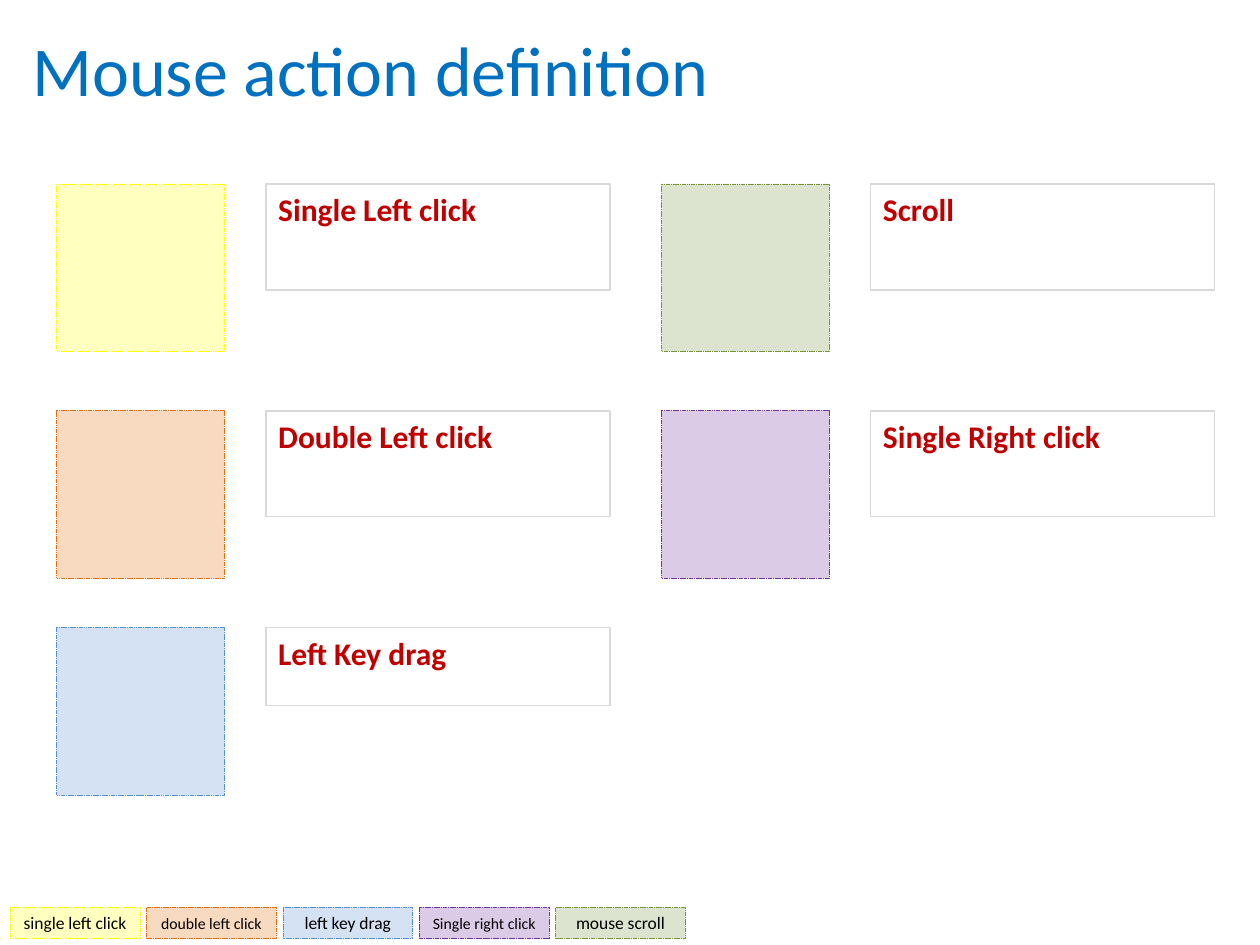
"""Build the slide that defines the colour code for mouse actions."""
from dataclasses import dataclass

import pptx
import pptx.dml.color
import pptx.enum.dml
import pptx.enum.shapes
import pptx.enum.text
import pptx.oxml.ns
import pptx.util
from lxml import etree

Inches = pptx.util.Inches
Pt = pptx.util.Pt
Anchor = pptx.enum.text.MSO_ANCHOR
Align = pptx.enum.text.PP_ALIGN


@dataclass(frozen=True)
class Theme:
    font: str = "Calibri"
    title: str = "0070C0"
    label: str = "C00000"
    border: str = "D9D9D9"
    legend: str = "000000"
    title_size: int = 40
    label_size: int = 18
    swatch_opacity: int = 25
    yellow: str = "FFFF00"
    orange: str = "E46C0A"
    blue: str = "558ED5"
    purple: str = "7030A0"
    green: str = "77933C"


THEME = Theme()
TITLE = "Mouse action definition"
ACTIONS = [
    ("Single Left click", THEME.yellow, 0, 0, 0.84),
    ("Double Left click", THEME.orange, 0, 1, 0.84),
    ("Left Key drag", THEME.blue, 0, 2, 0.62),
    ("Scroll", THEME.green, 1, 0, 0.84),
    ("Single Right click", THEME.purple, 1, 1, 0.84),
]
LEGEND = [
    ("single left click", THEME.yellow, 10),
    ("double left click", THEME.orange, 9),
    ("left key drag", THEME.blue, 10),
    ("Single right click", THEME.purple, 9),
    ("mouse scroll", THEME.green, 10),
]
COLUMN_LEFTS = [0.45, 5.25]
ROW_TOPS = [1.46, 3.26, 4.98]
SWATCH_SIZE = 1.33
LABEL_OFFSET, LABEL_WIDTH = 1.66, 2.73
LEGEND_FIRST, LEGEND_LAST, LEGEND_TOP = 0.08, 4.41, 7.2
LEGEND_WIDTH, LEGEND_HEIGHT = 1.03, 0.25


def rgb(value):
    return pptx.dml.color.RGBColor.from_string(value)


def write(shape, text, size, color, bold=False, align=Align.LEFT, anchor=Anchor.TOP):
    frame = shape.text_frame
    frame.word_wrap = True
    frame.vertical_anchor = anchor
    paragraph = frame.paragraphs[0]
    paragraph.text = text
    paragraph.alignment = align
    paragraph.font.name = THEME.font
    paragraph.font.size = Pt(size)
    paragraph.font.bold = bold
    paragraph.font.color.rgb = rgb(color)


def add_text(slide, text, box, size, color, bold=False):
    shape = slide.shapes.add_textbox(*map(Inches, box))
    write(shape, text, size, color, bold)
    return shape


def add_swatch(slide, color, box):
    rectangle = pptx.enum.shapes.MSO_SHAPE.RECTANGLE
    shape = slide.shapes.add_shape(rectangle, *map(Inches, box))
    shape.shadow.inherit = False
    shape.fill.solid()
    shape.fill.fore_color.rgb = rgb(color)
    qualified = pptx.oxml.ns.qn
    fill_color = shape.element.spPr.find(qualified("a:solidFill")).find(qualified("a:srgbClr"))
    etree.SubElement(fill_color, qualified("a:alpha"), val=str(THEME.swatch_opacity * 1000))
    shape.line.color.rgb = rgb(color)
    shape.line.width = Pt(0.25)
    shape.line.dash_style = pptx.enum.dml.MSO_LINE.SQUARE_DOT
    return shape


def add_action(slide, label, color, column, row, height):
    left, top = COLUMN_LEFTS[column], ROW_TOPS[row]
    label_box = (left + LABEL_OFFSET, top, LABEL_WIDTH, height)
    shape = add_text(slide, label, label_box, THEME.label_size, THEME.label, bold=True)
    shape.line.color.rgb = rgb(THEME.border)
    shape.line.width = Pt(1)
    add_swatch(slide, color, (left, top, SWATCH_SIZE, SWATCH_SIZE))


def add_legend(slide):
    pitch = (LEGEND_LAST - LEGEND_FIRST) / (len(LEGEND) - 1)
    for index, (label, color, size) in enumerate(LEGEND):
        left = LEGEND_FIRST + index * pitch
        shape = add_swatch(slide, color, (left, LEGEND_TOP, LEGEND_WIDTH, LEGEND_HEIGHT))
        write(shape, label, size, THEME.legend, align=Align.CENTER, anchor=Anchor.MIDDLE)


def main():
    presentation = pptx.Presentation()
    presentation.slide_width, presentation.slide_height = Inches(10), Inches(7.5)
    slide = presentation.slides.add_slide(presentation.slide_layouts[6])
    add_text(slide, TITLE, (0.16, 0.16, 9.69, 0.77), THEME.title_size, THEME.title)
    for action in ACTIONS:
        add_action(slide, *action)
    add_legend(slide)
    presentation.save("out.pptx")


if __name__ == "__main__":
    main()
